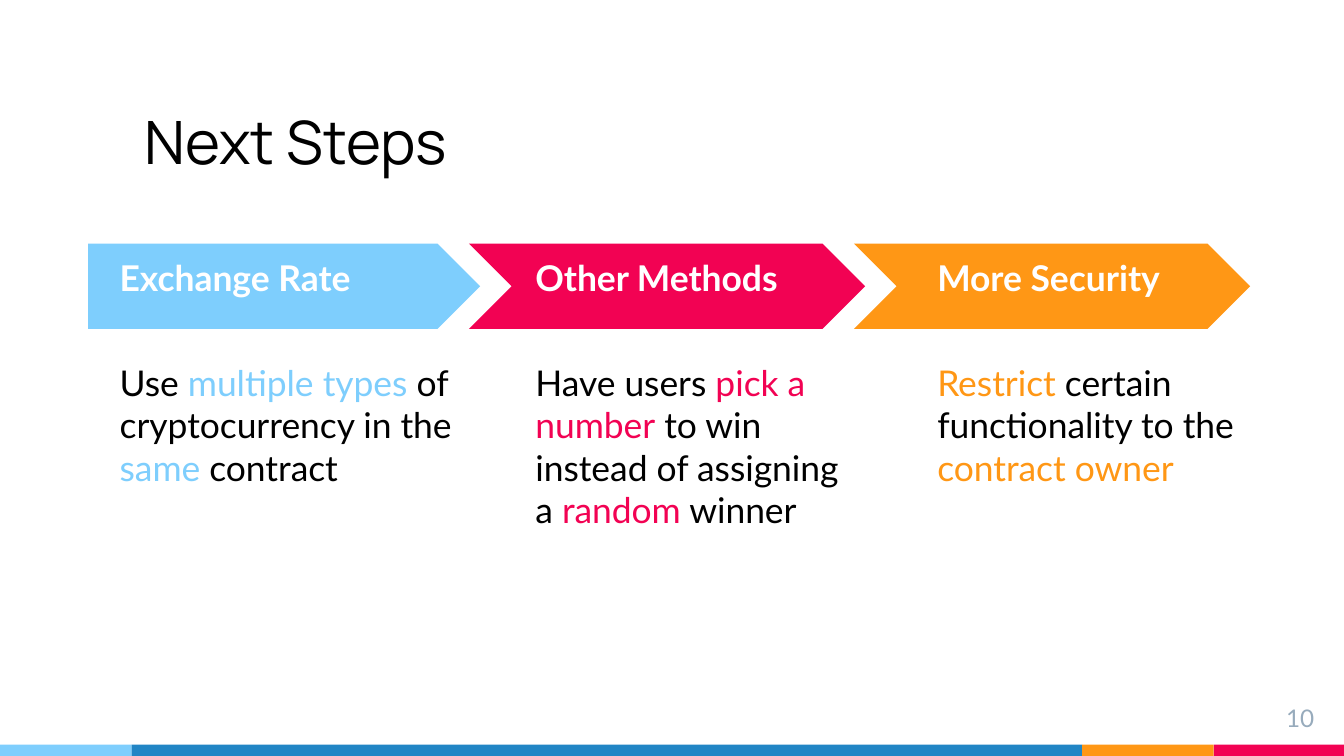
"""Build the Next Steps slide: three arrows with a short note under each."""
from dataclasses import dataclass

from pptx import Presentation
from pptx import util as u
from pptx.dml.color import RGBColor
from pptx.enum import shapes, text

PX = 9525


@dataclass(frozen=True)
class Theme:
    """Colours, fonts and type sizes of the slide."""
    sky: str = "7ECEFD"
    blue: str = "2185C5"
    orange: str = "FF9715"
    pink: str = "F20253"
    black: str = "000000"
    white: str = "FFFFFF"
    grey: str = "97ABBC"
    heading_font: str = "Manrope"
    body_font: str = "Lato"
    title_size: int = 32
    body_size: int = 19
    number_size: int = 13
    note_gap: float = 33.6


T = Theme()
SHAPE = shapes.MSO_SHAPE

FOOTER_BARS = [(94, T.sky), (679, T.blue), (94, T.orange), (93, T.pink)]

# Each step: arrow (kind, left, width), text (left, width, height), colour, heading, note.
STEPS = [
    ((SHAPE.PENTAGON, 63, 280), (76, 264, 169), T.sky, "Exchange Rate",
     [("Use ", False), ("multiple types ", True), ("of cryptocurrency in the ", False),
      ("same", True), (" contract", False)]),
    ((SHAPE.CHEVRON, 335, 283), (373, 245, 283), T.pink, "Other Methods",
     [("Have users ", False), ("pick a number", True),
      (" to win instead of assigning a ", False), ("random", True), (" winner", False)]),
    ((SHAPE.CHEVRON, 610, 283), (660, 272, 169), T.orange, "More Security",
     [("Restrict", True), (" certain functionality to the ", False),
      ("contract owner", True)]),
]


def px(*lengths):
    """Turn px lengths into EMU."""
    return [u.Emu(n * PX) for n in lengths]


def add_block(s, kind, box, color):
    """Add a plain filled shape without outline."""
    sp = s.shapes.add_shape(kind, *px(*box))
    sp.shadow.inherit = False
    sp.fill.solid()
    sp.fill.fore_color.rgb = RGBColor.from_string(color)
    sp.line.fill.background()
    return sp


def add_text_frame(s, box, anchor=text.MSO_ANCHOR.TOP):
    """Add a wrapping text box with even insets and return its frame."""
    tf = s.shapes.add_textbox(*px(*box)).text_frame
    tf.word_wrap = True
    tf.vertical_anchor = anchor
    tf.margin_left = tf.margin_top = tf.margin_right = tf.margin_bottom = u.Inches(0.1)
    return tf


def style(p, size, font, color, bold=False):
    """Set the font of a whole paragraph."""
    p.font.size = u.Pt(size)
    p.font.name = font
    p.font.bold = bold
    p.font.color.rgb = RGBColor.from_string(color)


def add_label(s, box, words, size, font, color, anchor, align):
    """Add a single line of text."""
    p = add_text_frame(s, box, anchor).paragraphs[0]
    p.text = words
    p.alignment = align
    style(p, size, font, color)


def add_footer(s):
    """Add the row of coloured bars along the bottom edge."""
    left = 0
    for width, color in FOOTER_BARS:
        add_block(s, SHAPE.RECTANGLE, (left, 532, width, 8), color)
        left += width


def add_arrow(s, kind, left, width, color):
    """Add one arrow of the row."""
    add_block(s, kind, (left, 174, width, 61), color).adjustments[0] = 0.5


def add_step_text(s, left, width, height, color, heading, note):
    """Add a heading on the arrow and a note with accents below it."""
    tf = add_text_frame(s, (left, 173, width, height))
    p = tf.paragraphs[0]
    p.text = heading
    style(p, T.body_size, T.body_font, T.white, bold=True)
    p = tf.add_paragraph()
    p.space_before = u.Pt(T.note_gap)
    style(p, T.body_size, T.body_font, T.black)
    for words, accent in note:
        r = p.add_run()
        r.text = words
        r.font.color.rgb = RGBColor.from_string(color if accent else T.black)


def main():
    """Build and save the slide."""
    prs = Presentation()
    prs.slide_width, prs.slide_height = px(960, 540)
    s = prs.slides.add_slide(prs.slide_layouts[6])
    add_footer(s)
    for arrow, _, color, _, _ in reversed(STEPS):
        add_arrow(s, *arrow, color)
    add_label(s, (94, 46, 679, 90), "Next Steps", T.title_size, T.heading_font,
              T.black, text.MSO_ANCHOR.BOTTOM, text.PP_ALIGN.LEFT)
    for _, box, color, heading, note in STEPS:
        add_step_text(s, *box, color, heading, note)
    add_label(s, (890, 493, 58, 33), "10", T.number_size, T.body_font,
              T.grey, text.MSO_ANCHOR.TOP, text.PP_ALIGN.RIGHT)
    prs.save("out.pptx")


if __name__ == "__main__":
    main()
